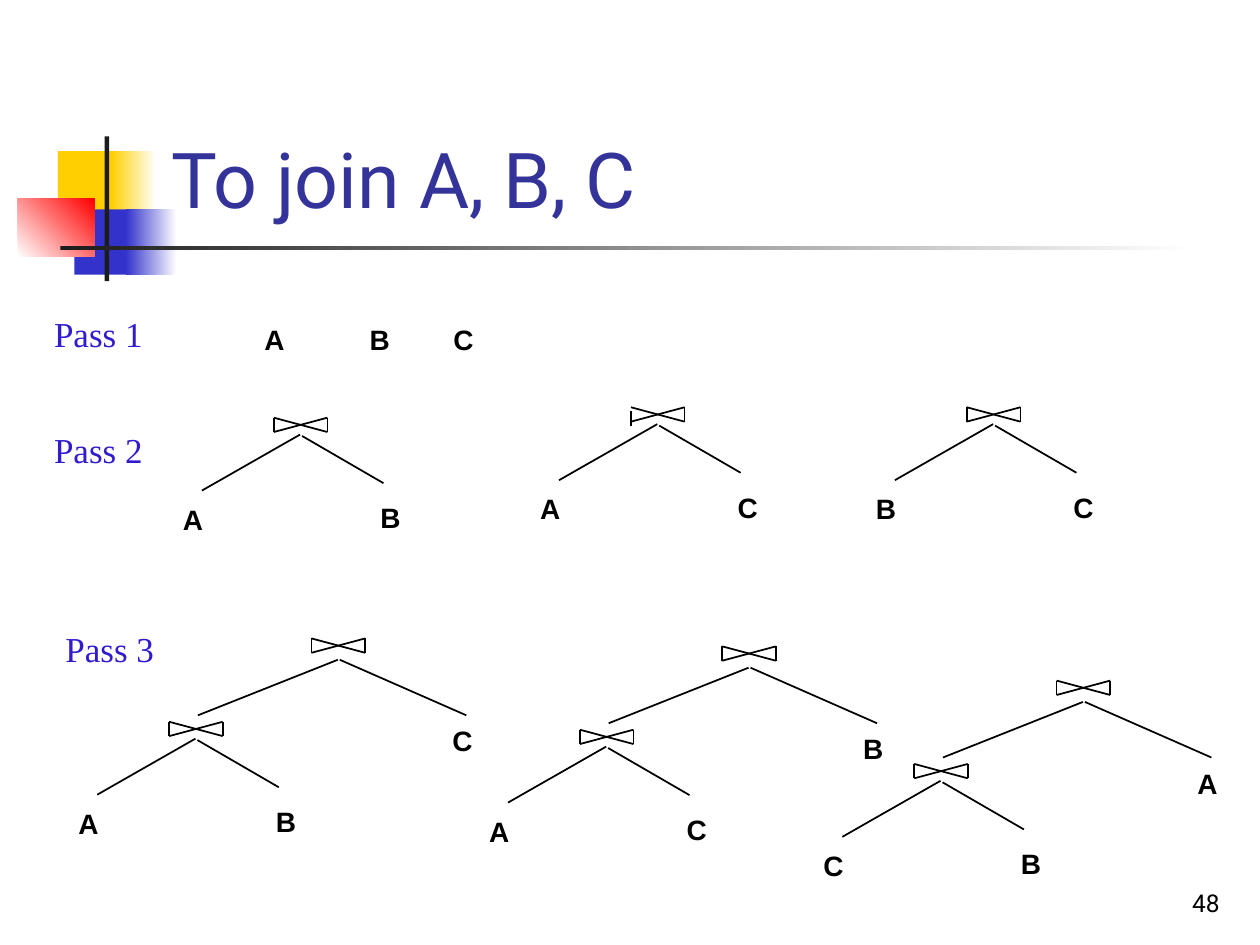
from dataclasses import dataclass

from lxml.etree import SubElement
from pptx import Presentation
from pptx.dml.color import RGBColor
from pptx.enum.shapes import MSO_CONNECTOR, MSO_SHAPE
from pptx.enum.text import MSO_ANCHOR, MSO_AUTO_SIZE, PP_ALIGN
from pptx.oxml.ns import qn
from pptx.util import Cm, Pt


@dataclass(frozen=True)
class Theme:
    title: str = "333399"
    label: str = "301BCD"
    ink: str = "000000"
    bar: str = "1C1C1C"
    yellow: str = "FFCF01"
    blue: str = "3333CC"
    red: str = "FF0000"
    white: str = "FFFFFF"
    heading_font: str = "Roboto"
    node_font: str = "Arial"
    label_font: str = "Times New Roman"
    title_size: int = 44
    label_size: int = 20
    node_size: int = 16
    number_size: int = 14
    line_width: int = 1


THEME = Theme()
BOW_W, BOW_H = 1.08, 0.29


def write(tf, text, font, size, color, bold=False, align=PP_ALIGN.LEFT):
    p = tf.paragraphs[0]
    p.alignment = align
    r = p.add_run()
    r.text = text
    r.font.name = font
    r.font.size = Pt(size)
    r.font.bold = bold
    r.font.color.rgb = RGBColor.from_string(color)


def add_text(s, text, x, y, w, h, wrap=False, anchor=MSO_ANCHOR.TOP, **fmt):
    tf = s.shapes.add_textbox(Cm(x), Cm(y), Cm(w), Cm(h)).text_frame
    tf.word_wrap = wrap
    tf.vertical_anchor = anchor
    write(tf, text, **fmt)


def add_title(s, text):
    sp = s.shapes.title
    sp.left, sp.top, sp.width, sp.height = Cm(3.2), Cm(0.58), Cm(21.64), Cm(4.06)
    tf = sp.text_frame
    tf.auto_size = MSO_AUTO_SIZE.NONE
    tf.vertical_anchor = MSO_ANCHOR.BOTTOM
    write(tf, text, THEME.heading_font, THEME.title_size, THEME.title)


def add_block(s, x, y, w, h, *colors, angle=0):
    sp = s.shapes.add_shape(MSO_SHAPE.RECTANGLE, Cm(x), Cm(y), Cm(w), Cm(h))
    sp.shadow.inherit = False
    sp.line.fill.background()
    if len(colors) == 1:
        sp.fill.solid()
        sp.fill.fore_color.rgb = RGBColor.from_string(colors[0])
        return
    sp.fill.gradient()
    sp.fill.gradient_angle = angle
    for stop, color in zip(sp.fill.gradient_stops, colors):
        stop.color.rgb = RGBColor.from_string(color)


def add_ornament(s):
    add_block(s, 1.17, 3.05, 1.22, 1.32, THEME.yellow)
    add_block(s, 2.24, 3.05, 0.91, 1.32, THEME.yellow, THEME.white)
    add_block(s, 1.5, 4.22, 1.17, 1.32, THEME.blue)
    add_block(s, 2.54, 4.22, 1.02, 1.32, THEME.blue, THEME.white)
    add_block(s, 0.36, 4.01, 1.55, 1.17, THEME.white, THEME.red, angle=45)
    add_block(s, 2.11, 2.75, 0.09, 2.92, THEME.bar)
    add_block(s, 1.22, 4.95, 22.86, 0.09, THEME.bar, THEME.white)


def add_line(s, x1, y1, x2, y2):
    c = s.shapes.add_connector(MSO_CONNECTOR.STRAIGHT, Cm(x1), Cm(y1), Cm(x2), Cm(y2))
    c.line.color.rgb = RGBColor.from_string(THEME.ink)
    c.line.width = Pt(THEME.line_width)
    SubElement(c._element.spPr, qn("a:effectLst"))


def add_bowtie(s, x, y, left_drop=0):
    right, bottom = x + BOW_W, y + BOW_H
    add_line(s, x, y + left_drop, x, bottom + left_drop)
    add_line(s, right, y, right, bottom)
    add_line(s, x, y, right, bottom)
    add_line(s, x, bottom, right, y)


def add_node(s, text, x, y):
    add_text(s, text, x, y, 0.91, 0.91, font=THEME.node_font,
             size=THEME.node_size, color=THEME.ink, bold=True)


def add_pass_label(s, text, x, y):
    add_text(s, text, x, y, 2.29, 1.12, font=THEME.label_font,
             size=THEME.label_size, color=THEME.label)


def add_pair(s, x, y, left, right, left_drop=0):
    add_bowtie(s, x, y, left_drop)
    add_line(s, x - 1.45, y + 1.47, x + 0.53, y + 0.34)
    add_line(s, x + 0.57, y + 0.37, x + 2.21, y + 1.32)
    add_node(s, left, x - 2.08, y + 1.58)
    add_node(s, right, x + 1.9, y + 1.55)


def add_triple(s, x, y, left, right, outer):
    add_bowtie(s, x, y)
    add_line(s, x - 2.29, y + 1.55, x + 0.53, y + 0.43)
    add_line(s, x + 0.57, y + 0.43, x + 3.12, y + 1.55)
    add_node(s, outer, x + 2.59, y + 1.6)
    add_pair(s, x - 2.87, y + 1.68, left, right)


def main():
    prs = Presentation()
    prs.slide_width, prs.slide_height = Cm(25.4), Cm(19.05)
    s = prs.slides.add_slide(prs.slide_layouts[5])

    add_ornament(s)
    add_title(s, "To join A, B, C")

    add_pass_label(s, "Pass 1", 0.84, 6.17)
    for name, x in (("A", 5.08), ("B", 7.2), ("C", 8.89)):
        add_node(s, name, x, 6.38)

    add_pass_label(s, "Pass 2", 0.84, 8.52)
    add_pair(s, 5.52, 8.42, "A", "B")
    add_pair(s, 12.72, 8.21, "A", "C", left_drop=0.08)
    add_pair(s, 19.49, 8.21, "B", "C")

    add_pass_label(s, "Pass 3", 1.07, 12.53)
    add_triple(s, 6.28, 12.87, "A", "B", "C")
    add_triple(s, 14.56, 13.03, "A", "C", "B")
    add_triple(s, 21.3, 13.72, "C", "B", "A")

    add_text(s, "48", 19.56, 17.35, 5.28, 1.27, wrap=True,
             anchor=MSO_ANCHOR.BOTTOM, font=THEME.heading_font,
             size=THEME.number_size, color=THEME.ink, align=PP_ALIGN.RIGHT)
    prs.save("out.pptx")


if __name__ == "__main__":
    main()
